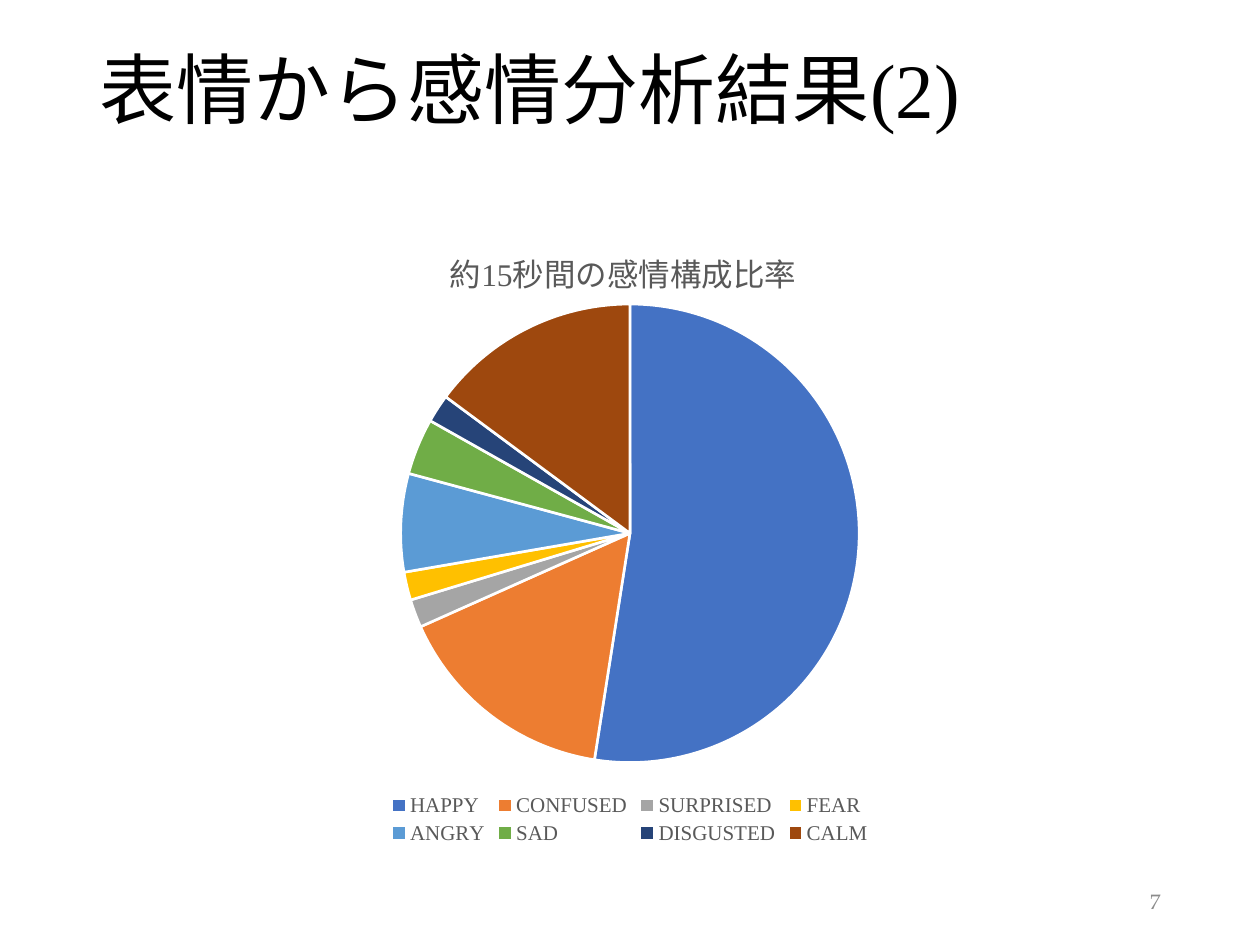
from lxml import etree
from pptx import Presentation
from pptx.chart.data import CategoryChartData
from pptx.dml.color import RGBColor
from pptx.enum.chart import XL_CHART_TYPE, XL_LEGEND_POSITION
from pptx.enum.text import MSO_ANCHOR, PP_ALIGN
from pptx.oxml import parse_xml
from pptx.oxml.ns import nsdecls, qn
from pptx.util import Inches, Pt

PIE = XL_CHART_TYPE.PIE
BOTTOM = XL_LEGEND_POSITION.BOTTOM
TOP, MIDDLE = MSO_ANCHOR.TOP, MSO_ANCHOR.MIDDLE
LEFT, RIGHT = PP_ALIGN.LEFT, PP_ALIGN.RIGHT

BLACK = RGBColor(0x00, 0x00, 0x00)
WHITE = RGBColor(0xFF, 0xFF, 0xFF)
GRAY = RGBColor(0x59, 0x59, 0x59)
LIGHT_GRAY = RGBColor(0x8C, 0x8C, 0x8C)
BLUE = RGBColor(0x44, 0x72, 0xC4)
ORANGE = RGBColor(0xED, 0x7D, 0x31)
SILVER = RGBColor(0xA5, 0xA5, 0xA5)
YELLOW = RGBColor(0xFF, 0xC0, 0x00)
SKY = RGBColor(0x5B, 0x9B, 0xD5)
GREEN = RGBColor(0x70, 0xAD, 0x47)
NAVY = RGBColor(0x26, 0x44, 0x78)
BROWN = RGBColor(0x9E, 0x48, 0x0E)

SERIF = "Times New Roman"
PALATINO = "TeX Gyre Pagella"

EMOTIONS = [
    ("HAPPY", 53, BLUE), ("CONFUSED", 16, ORANGE), ("SURPRISED", 2, SILVER),
    ("FEAR", 2, YELLOW), ("ANGRY", 7, SKY), ("SAD", 4, GREEN),
    ("DISGUSTED", 2, NAVY), ("CALM", 15, BROWN),
]


def set_font(font, size, color, name=SERIF):
    font.size, font.name, font.bold = Pt(size), name, False
    font.color.rgb = color


def write(tf, text, size=18, color=BLACK, font=SERIF, align=LEFT, spacing=1.0):
    p = tf.paragraphs[0]
    p.alignment, p.line_spacing = align, spacing
    r = p.add_run()
    r.text = text
    set_font(r.font, size, color, font)


def chart_layout(parent, after, **places):
    old = parent.find(qn("c:layout"))
    if old is not None:
        parent.remove(old)
    layout = parse_xml(f"<c:layout {nsdecls('c')}><c:manualLayout/></c:layout>")
    for tag, value in places.items():
        etree.SubElement(layout[0], qn(f"c:{tag}")).set("val", str(value))
    if after is None:
        parent.insert(0, layout)
    else:
        after.addnext(layout)


class Deck:
    """Holds the presentation style and the current slide."""

    def __init__(self, width, height):
        self.prs = Presentation()
        self.prs.slide_width, self.prs.slide_height = Inches(width), Inches(height)
        self.s = self.prs.slides.add_slide(self.prs.slide_layouts[5])

    def title(self, text, *box):
        sp = self.s.shapes.title
        sp.left, sp.top, sp.width, sp.height = map(Inches, box)
        tf = sp.text_frame
        tf.word_wrap, tf.vertical_anchor = True, TOP
        write(tf, text, size=44, spacing=0.9)

    def text(self, text, *box, **style):
        tf = self.s.shapes.add_textbox(*map(Inches, box)).text_frame
        tf.word_wrap, tf.vertical_anchor = True, MIDDLE
        write(tf, text, **style)

    def pie(self, heading, rows, *box):
        data = CategoryChartData()
        data.categories = [name for name, _, _ in rows]
        data.add_series("Series 1", [value for _, value, _ in rows])
        chart = self.s.shapes.add_chart(PIE, *map(Inches, box), data).chart
        set_font(chart.font, 10, BLACK, PALATINO)
        chart.has_title = True
        title = chart.chart_title
        write(title.text_frame, heading, size=18, color=GRAY)
        title.include_in_layout = False
        chart_layout(title._element, title._element.find(qn("c:tx")),
                     xMode="edge", yMode="edge", x=0.34, y=0.05)
        chart.has_legend = True
        chart.legend.position = BOTTOM
        chart.legend.include_in_layout = False
        set_font(chart.legend.font, 12, GRAY)
        plot = chart.plots[0]
        plot.vary_by_categories = True
        for i, (_, _, color) in enumerate(rows):
            fmt = plot.series[0].points[i].format
            fmt.fill.solid()
            fmt.fill.fore_color.rgb = color
            fmt.line.color.rgb = WHITE
            fmt.line.width = Pt(1.5)
        chart_layout(plot._element.getparent(), None, layoutTarget="inner",
                     xMode="edge", yMode="edge", x=0.3, y=0.15, w=0.4, h=0.715)


deck = Deck(10, 7.5)
deck.title("表情から感情分析結果(2)", 0.69, 0.36, 8.62, 0.74)
deck.pie("約15秒間の感情構成比率", EMOTIONS, 0.39, 1.65, 9.22, 5.09)
deck.text("7", 7.06, 6.95, 2.25, 0.4, size=12, color=LIGHT_GRAY, font=PALATINO, align=RIGHT)
deck.prs.save("out.pptx")
